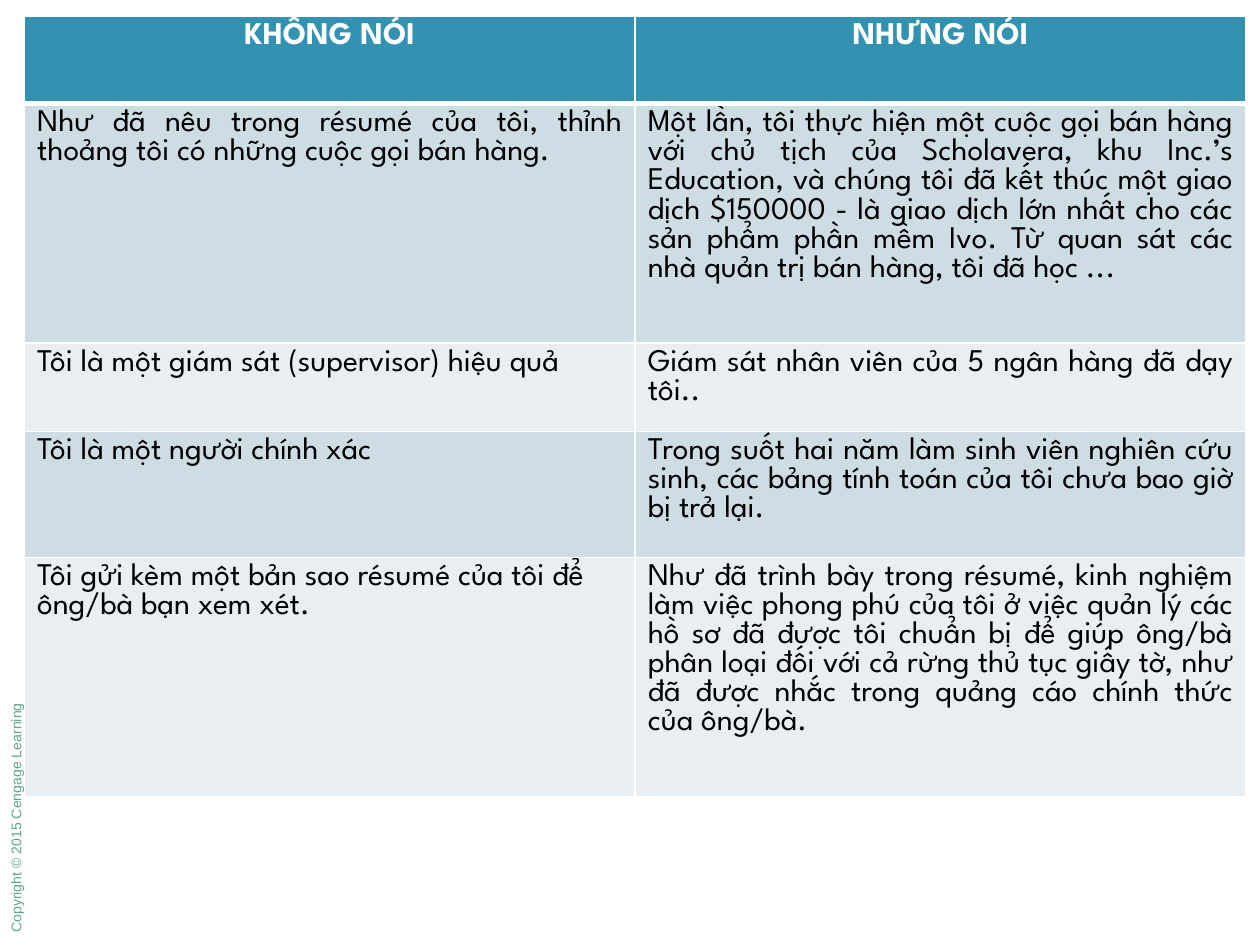
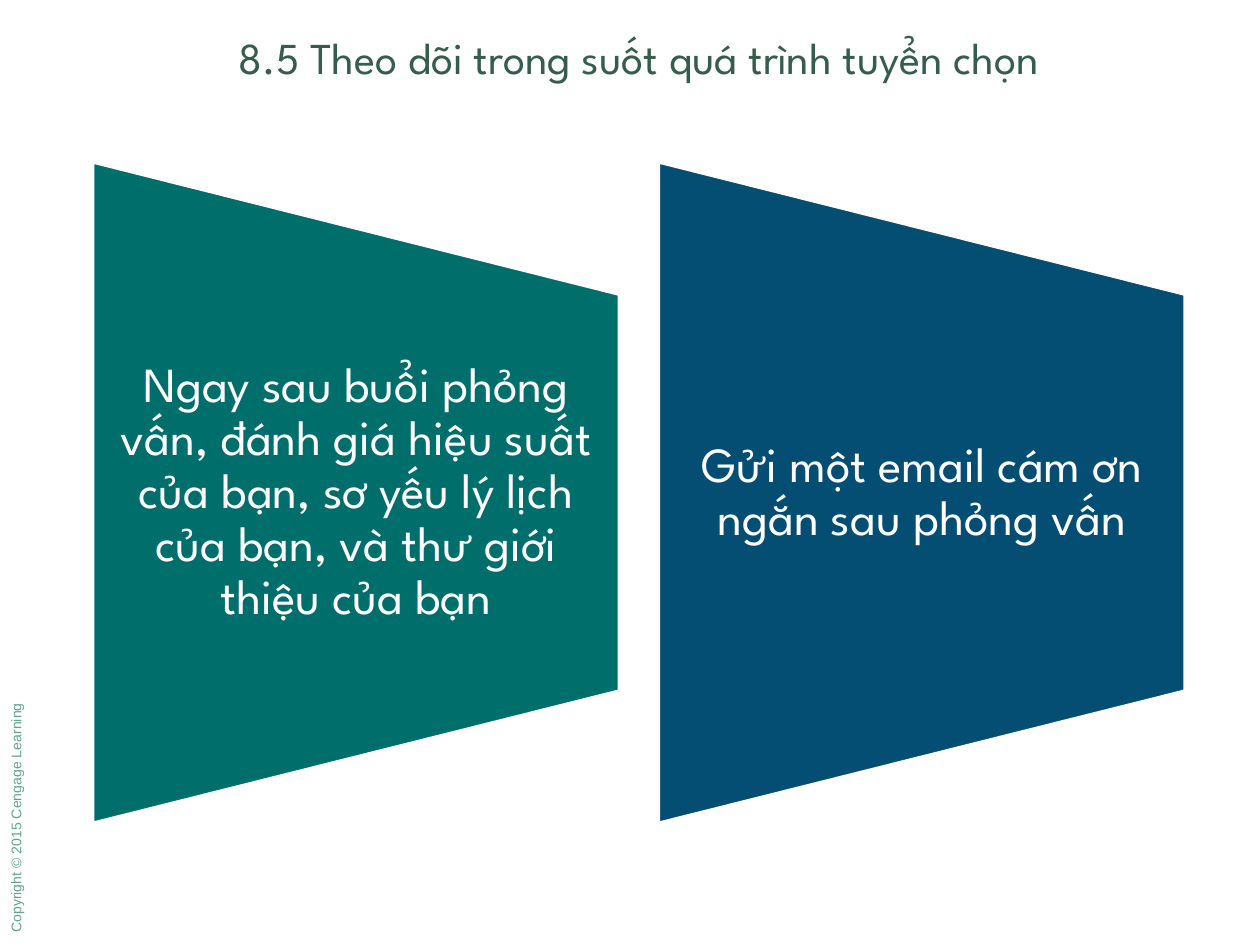
from lxml import etree
from pptx import Presentation
from pptx.dml.color import RGBColor
from pptx.enum.shapes import MSO_SHAPE
from pptx.enum.text import MSO_ANCHOR, PP_ALIGN
from pptx.oxml.ns import qn
from pptx.util import Pt

LEFT, CENTER, JUSTIFY = PP_ALIGN.LEFT, PP_ALIGN.CENTER, PP_ALIGN.JUSTIFY
MIDDLE = MSO_ANCHOR.MIDDLE
TRAPEZOID = MSO_SHAPE.FLOWCHART_MANUAL_OPERATION
TITLE_ONLY, BLANK = 5, 6

FONT = "League Spartan"
WHITE, BLACK = "FFFFFF", "000000"
HEAD, DARK, LIGHT = "3391B1", "CEDCE4", "E8EEF2"
GREEN, NAVY = "006F6C", "044E74"
TITLE, CREDIT = "355D4D", "5FA58A"

ROWS = [
    ("KHÔNG NÓI", "NHƯNG NÓI"),
    ("Như đã nêu trong résumé của tôi, thỉnh thoảng tôi có những cuộc gọi bán hàng.",
     "Một lần, tôi thực hiện một cuộc gọi bán hàng với chủ tịch của Scholavera, khu "
     "Inc.’s Education, và chúng tôi đã kết thúc một giao dịch $150000 - là giao dịch "
     "lớn nhất cho các sản phẩm phần mềm Ivo. Từ quan sát các nhà quản trị bán hàng, "
     "tôi đã học ..."),
    ("Tôi là một giám sát (supervisor) hiệu quả",
     "Giám sát nhân viên của 5 ngân hàng đã dạy tôi.."),
    ("Tôi là một người chính xác",
     "Trong suốt hai năm làm sinh viên nghiên cứu sinh, các bảng tính toán của tôi "
     "chưa bao giờ bị trả lại."),
    ("Tôi gửi kèm một bản sao résumé của tôi để ông/bà bạn xem xét.",
     "Như đã trình bày trong résumé, kinh nghiệm làm việc phong phú của tôi ở việc "
     "quản lý các hồ sơ đã được tôi chuẩn bị để giúp ông/bà phân loại đối với cả rừng "
     "thủ tục giấy tờ, như đã được nhắc trong quảng cáo chính thức của ông/bà."),
]
HEIGHTS = [49.7, 136.5, 50, 72, 136.5]

STEPS = [
    ("Ngay sau buổi phỏng vấn, đánh giá hiệu suất của bạn, sơ yếu lý lịch của bạn, "
     "và thư giới thiệu của bạn", GREEN),
    ("Gửi một email cám ơn ngắn sau phỏng vấn", NAVY),
]


def color(code):
    return RGBColor.from_string(code)


def write(frame, text, size, tint, align=LEFT, font=FONT, bold=False):
    frame.text = text
    para = frame.paragraphs[0]
    para.alignment = align
    para.font.name = font
    para.font.size = Pt(size)
    para.font.bold = bold
    para.font.color.rgb = color(tint)
    return para


def add_page(deck, layout):
    slide = deck.slides.add_slide(deck.slide_layouts[layout])
    box = slide.shapes.add_textbox(Pt(-64), Pt(458.7), Pt(146), Pt(16.6))
    box.rotation = 270
    box.text_frame.word_wrap = False
    write(box.text_frame, "Copyright © 2015 Cengage Learning", 8, CREDIT, font="Arial")
    return slide


def add_edges(cell, base):
    props = cell._tc.get_or_add_tcPr()
    for spot, (side, width) in enumerate([("L", 1), ("R", 1), ("T", 1), ("B", base)]):
        line = etree.Element(qn("a:ln" + side), w=str(Pt(width)))
        fill = etree.SubElement(line, qn("a:solidFill"))
        etree.SubElement(fill, qn("a:srgbClr"), val=WHITE)
        props.insert(spot, line)


def add_grid(slide, left, top, width):
    count = len(ROWS[0])
    table = slide.shapes.add_table(
        len(ROWS), count, Pt(left), Pt(top), Pt(width), Pt(sum(HEIGHTS))).table
    for col in table.columns:
        col.width = Pt(width / count)
    for r, texts in enumerate(ROWS):
        table.rows[r].height = Pt(HEIGHTS[r])
        head = r == 0
        shade = HEAD if head else DARK if r % 2 else LIGHT
        for c, text in enumerate(texts):
            cell = table.cell(r, c)
            cell.fill.solid()
            cell.fill.fore_color.rgb = color(shade)
            add_edges(cell, 3 if head else 1)
            align = CENTER if head else JUSTIFY if c or r == 1 else LEFT
            write(cell.text_frame, text, 18, WHITE if head else BLACK, align, bold=head)


def add_title(slide, text, left, top, width, height):
    title = slide.shapes.title
    title.left, title.top = Pt(left), Pt(top)
    title.width, title.height = Pt(width), Pt(height)
    frame = title.text_frame
    frame.vertical_anchor = MIDDLE
    frame.margin_bottom = Pt(27)
    write(frame, text, 25.2, TITLE)


def add_step(slide, text, tint, left, top, width, height):
    shift = (height - width) / 2
    shape = slide.shapes.add_shape(
        TRAPEZOID, Pt(left - shift), Pt(top + shift), Pt(height), Pt(width))
    shape.rotation = 270
    shape.shadow.inherit = False
    shape.fill.solid()
    shape.fill.fore_color.rgb = color(tint)
    shape.line.color.rgb = color(WHITE)
    shape.line.width = Pt(2)

    box = slide.shapes.add_textbox(
        Pt(left), Pt(top + height / 5), Pt(width), Pt(height * 0.6))
    frame = box.text_frame
    frame.word_wrap = True
    frame.vertical_anchor = MIDDLE
    frame.margin_left = frame.margin_right = Pt(13.7)
    frame.margin_top = frame.margin_bottom = 0
    write(frame, text, 28, WHITE, CENTER).line_spacing = 0.9


def main():
    deck = Presentation()
    deck.slide_width, deck.slide_height = Pt(720), Pt(540)

    add_grid(add_page(deck, BLANK), 14, 9.5, 698)

    slide = add_page(deck, TITLE_ONLY)
    add_title(slide, "8.5 Theo dõi trong suốt quá trình tuyển chọn", 129, 0, 602, 88.5)
    for i, (text, tint) in enumerate(STEPS):
        add_step(slide, text, tint, 52.9 + i * 323.3, 92.5, 301, 378)

    deck.save("out.pptx")


if __name__ == "__main__":
    main()
